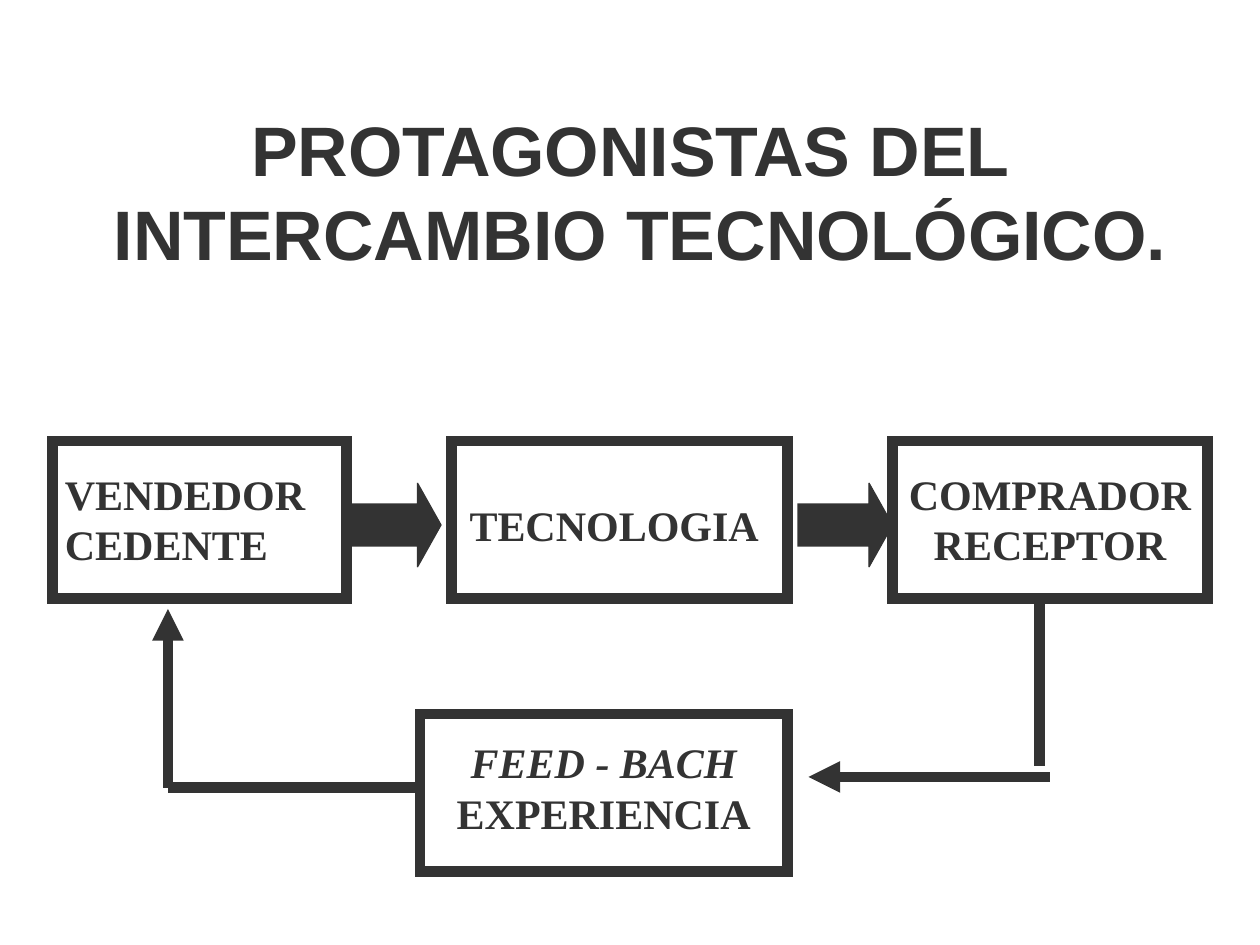
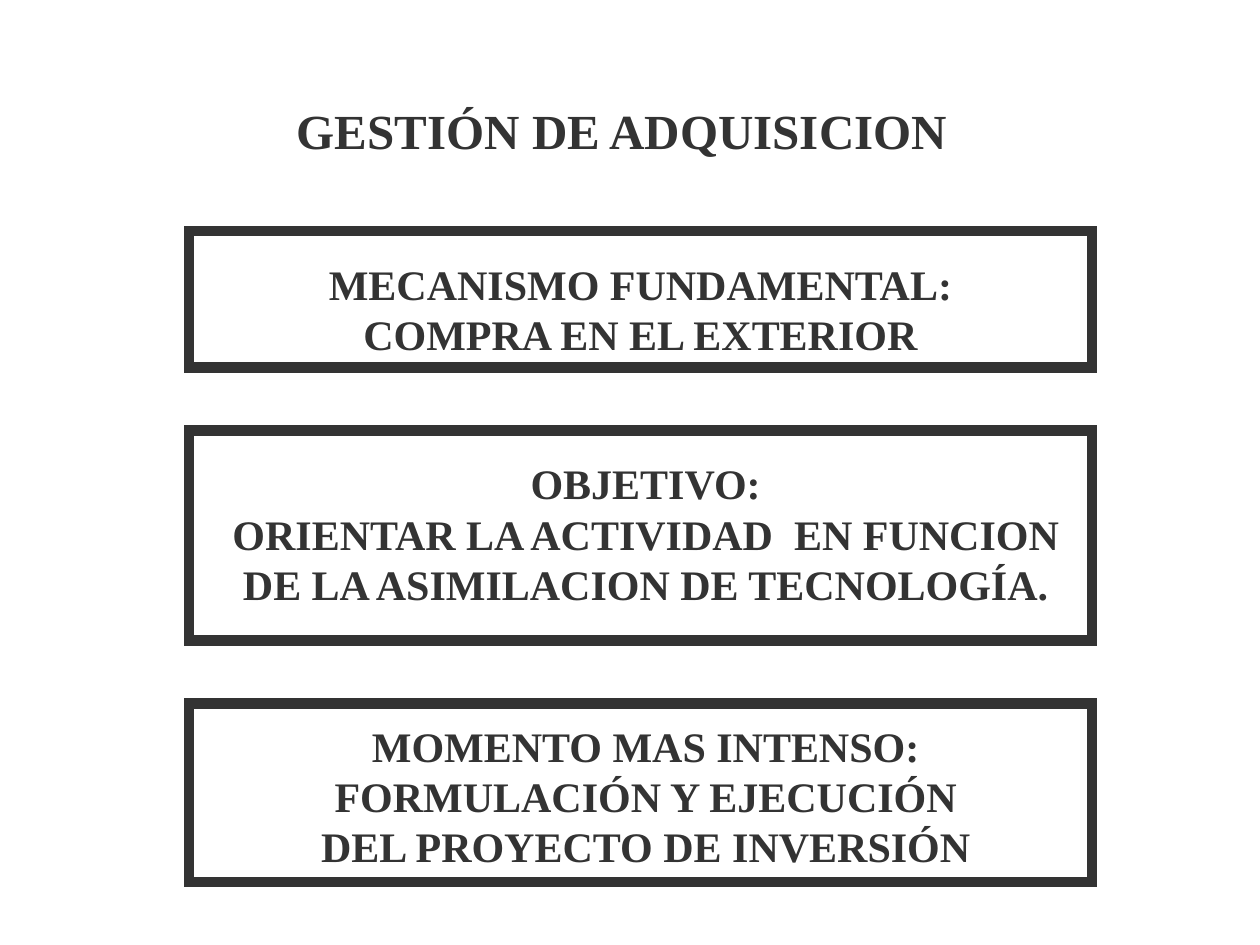
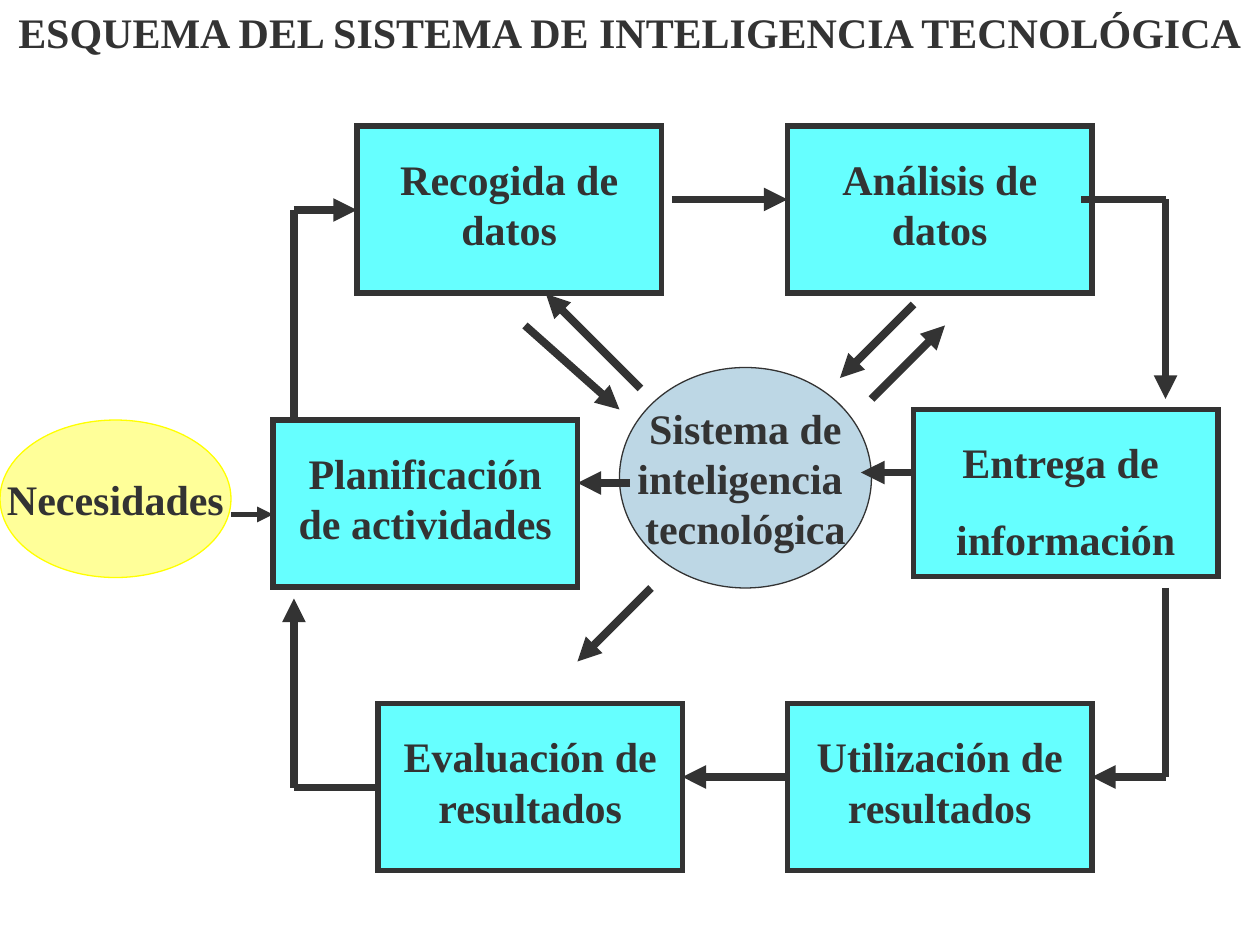
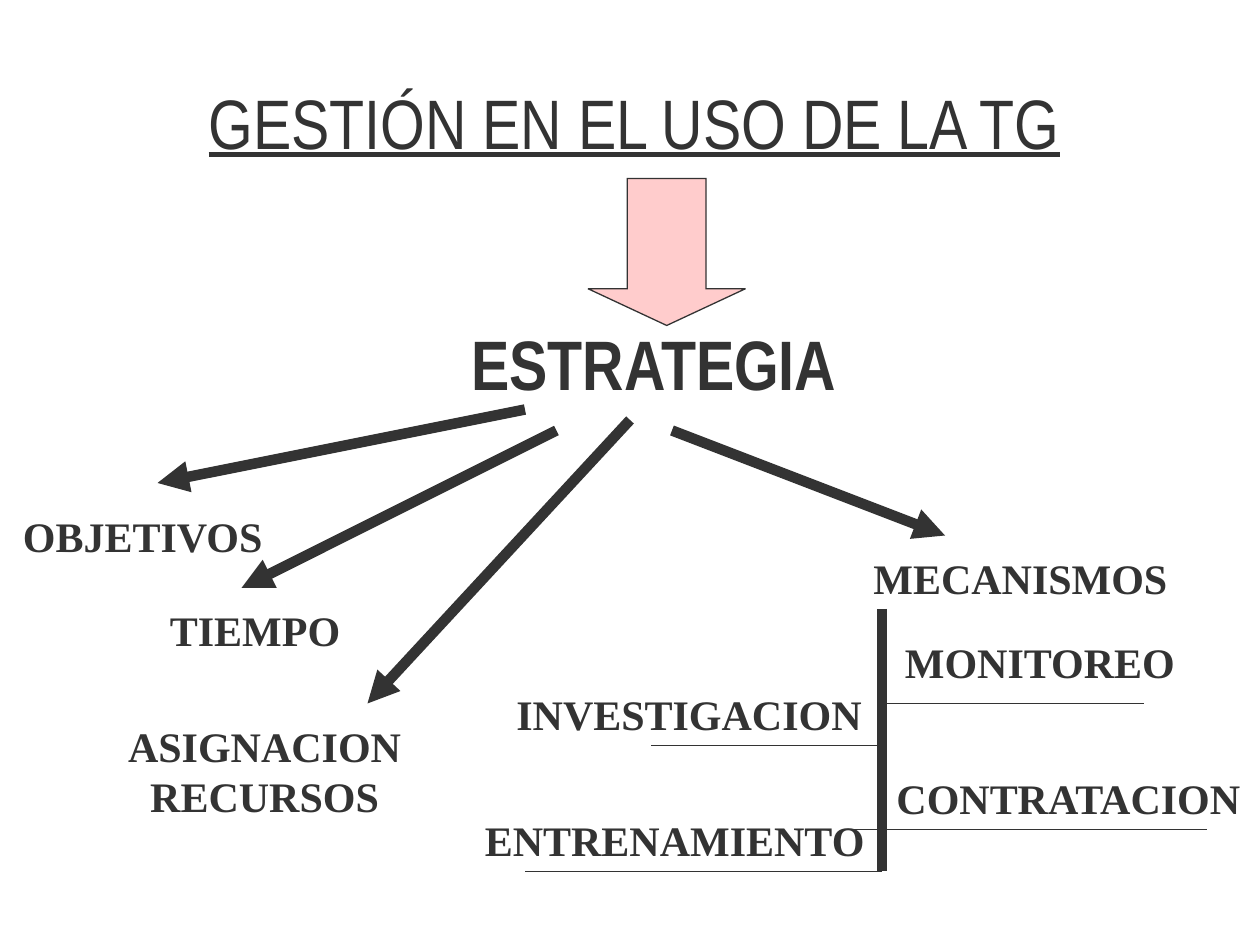
from pptx import Presentation
from pptx.dml.color import RGBColor
from pptx.enum.shapes import MSO_CONNECTOR, MSO_SHAPE
from pptx.enum.text import MSO_ANCHOR, MSO_AUTO_SIZE, PP_ALIGN
from pptx.oxml.ns import qn
from pptx.util import Inches, Pt
from lxml import etree

RECTANGLE, ELLIPSE = MSO_SHAPE.RECTANGLE, MSO_SHAPE.OVAL
RIGHT_ARROW, DOWN_ARROW = MSO_SHAPE.RIGHT_ARROW, MSO_SHAPE.DOWN_ARROW
STRAIGHT = MSO_CONNECTOR.STRAIGHT
LEFT, CENTER = PP_ALIGN.LEFT, PP_ALIGN.CENTER
TOP, MIDDLE = MSO_ANCHOR.TOP, MSO_ANCHOR.MIDDLE
FIT_SHAPE = MSO_AUTO_SIZE.SHAPE_TO_FIT_TEXT

COLORS = {
    "ink": "333333",
    "cyan": "66FFFF",
    "steel": "BDD7E5",
    "pale_yellow": "FFFF99",
    "yellow": "FFFF00",
    "pink": "FFCCCC",
}
SERIF, SANS, NARROW = "Times New Roman", "Arial", "Arial Narrow"
THICK, MEDIUM, THIN, HAIRLINE = 6, 4.5, 3, 0.75

# The slide is a grid of 120 columns by 90 rows
CELL = Inches(10) / 120

presentation = Presentation()
presentation.slide_width = Inches(10)
presentation.slide_height = Inches(7.5)
blank_layout = presentation.slide_layouts[6]


def add_box(slide, place, text="", preset=None, fill=None, line=None, weight=THICK,
            font=SERIF, size=24, bold=True, underline=None, align=CENTER,
            anchor=TOP, wrap=True, grow=False, gap=0):
    """Add a shape, or a text box if no preset is given; place is column, row, width, height."""
    place = [round(value * CELL) for value in place]
    if preset is None:
        shape = slide.shapes.add_textbox(*place)
    else:
        shape = slide.shapes.add_shape(preset, *place)
        shape.shadow.inherit = False
        if fill:
            shape.fill.solid()
            shape.fill.fore_color.rgb = RGBColor.from_string(COLORS[fill])
        else:
            shape.fill.background()
        if line:
            shape.line.color.rgb = RGBColor.from_string(COLORS[line])
            shape.line.width = Pt(weight)
            outline = shape._element.spPr.find(qn("a:ln"))
            etree.SubElement(outline, qn("a:miter"), lim="800000")
        else:
            shape.line.fill.background()
    if not text:
        return shape
    frame = shape.text_frame
    frame.word_wrap = wrap
    frame.vertical_anchor = anchor
    if preset is None or grow:
        frame.auto_size = FIT_SHAPE
    for index, words in enumerate(text.split("\n")):
        paragraph = frame.add_paragraph() if index else frame.paragraphs[0]
        paragraph.alignment = align
        if index and gap:
            paragraph.space_before = Pt(gap)
        run = paragraph.add_run()
        run.text = words
        run.font.name = font
        run.font.size = Pt(size)
        run.font.bold = bold
        run.font.underline = underline
        run.font.color.rgb = RGBColor.from_string(COLORS["ink"])
    return shape


def add_line(slide, ends, weight, arrow=False):
    """Draw a straight line; ends is column and row of its start, then of its end."""
    connector = slide.shapes.add_connector(STRAIGHT, *[round(value * CELL) for value in ends])
    connector.line.color.rgb = RGBColor.from_string(COLORS["ink"])
    connector.line.width = Pt(weight)
    properties = connector._element.spPr
    if arrow:
        etree.SubElement(properties.find(qn("a:ln")), qn("a:tailEnd"), type="triangle")
    etree.SubElement(properties, qn("a:effectLst"))


# Slide 1: the parties to a technology exchange
slide = presentation.slides.add_slide(blank_layout)
add_box(slide, (0, 9.6, 120.1, 17.2), "PROTAGONISTAS DEL\n INTERCAMBIO TECNOLÓGICO.",
        font=SANS, size=40)
for column, row, width in [(5, 42, 28), (40, 68, 35), (43, 42, 32), (85, 42, 30)]:
    add_box(slide, (column, row, width, 15), preset=RECTANGLE, line="ink")
add_box(slide, (5, 44, 26.3, 10.8), "VENDEDOR\nCEDENTE", align=LEFT)
for column in (33, 76):
    arrow = add_box(slide, (column, 46, 9, 8), preset=RIGHT_ARROW,
                    fill="ink", line="ink", weight=HAIRLINE)
    arrow.adjustments[1] = 0.28
add_box(slide, (43, 47, 31, 6), "TECNOLOGIA")
add_box(slide, (85, 44, 30, 10.8), "COMPRADOR\nRECEPTOR")
feedback = add_box(slide, (41, 69.6, 33, 10.8), "FEED - BACH\nEXPERIENCIA")
feedback.text_frame.paragraphs[0].runs[0].font.italic = True
for ends, arrow in [
    ((100, 74, 77, 74), True),
    ((40, 75, 16, 75), False),
    ((16, 75, 16, 58), True),
    ((99, 57, 99, 73), False),
]:
    add_line(slide, ends, THICK, arrow)

# Slide 2: acquisition management
slide = presentation.slides.add_slide(blank_layout)
add_box(slide, (27.1, 9, 64.6, 6.8), "GESTIÓN DE ADQUISICION", size=28, align=LEFT, wrap=False)
for row, height, text_row, text_width, text_height, text in [
    (22, 13, 24, 82, 10.8, "MECANISMO FUNDAMENTAL:\nCOMPRA EN EL EXTERIOR"),
    (41, 20, 43, 83, 15.6,
     "OBJETIVO:\nORIENTAR LA ACTIVIDAD  EN FUNCION DE LA ASIMILACION DE TECNOLOGÍA."),
    (67, 17, 68, 83, 15.6,
     "MOMENTO MAS INTENSO: FORMULACIÓN Y EJECUCIÓN\nDEL PROYECTO DE INVERSIÓN"),
]:
    add_box(slide, (18, row, 86, height), preset=RECTANGLE, line="ink")
    add_box(slide, (20, text_row, text_width, text_height), text)

# Slide 3: the technology intelligence cycle
slide = presentation.slides.add_slide(blank_layout)
add_box(slide, (59, 35, 24, 21), "Sistema de\ninteligencia \ntecnológica", preset=ELLIPSE,
        fill="steel", line="ink", weight=HAIRLINE, anchor=MIDDLE, wrap=False)
add_box(slide, (0, 40, 22, 15), "Necesidades", preset=ELLIPSE,
        fill="pale_yellow", line="yellow", weight=HAIRLINE, anchor=MIDDLE, wrap=False)
add_line(slide, (22, 49, 26, 49), THIN, arrow=True)
for column, row, label_height, text in [
    (75, 67, 10.8, "Utilización de resultados"),
    (75, 12, 10.8, "Análisis de datos"),
    (34, 12, 10.8, "Recogida de datos"),
    (87, 39, 13.3, "Entrega de \ninformación"),
    (26, 40, 10.8, "Planificación de actividades"),
    (36, 67, 10.8, "Evaluación de resultados"),
]:
    add_box(slide, (column, row, 29, 15.9), preset=RECTANGLE,
            fill="cyan", line="ink", weight=THIN)
    add_box(slide, (column + 1, row + 2, 27, label_height), text, preset=RECTANGLE,
            fill="cyan", grow=True, gap=15)
for ends in [
    (111, 56, 111, 74), (28, 40, 28, 20), (103, 19, 111, 19), (36, 75, 28, 75),
]:
    add_line(slide, ends, MEDIUM)
for ends in [
    (111, 74, 104, 74), (64, 19, 75, 19), (87, 29, 80, 36), (83, 38, 90, 31),
    (28, 20, 34, 20), (61, 37, 52, 28), (50, 31, 59, 39), (111, 19, 111, 38),
    (87, 45, 82, 45), (60, 46, 55, 46), (75, 74, 65, 74), (28, 75, 28, 57),
    (62, 56, 55, 63),
]:
    add_line(slide, ends, MEDIUM, arrow=True)
add_box(slide, (0, 0, 120, 6), "ESQUEMA DEL SISTEMA DE INTELIGENCIA TECNOLÓGICA")

# Slide 4: strategy and its mechanisms
slide = presentation.slides.add_slide(blank_layout)
add_box(slide, (18.7, 7, 95.8, 9.2), "GESTIÓN EN EL USO DE LA TG", font=NARROW, size=40,
        bold=False, underline=True, align=LEFT, wrap=False)
arrow = add_box(slide, (56, 17, 15, 14), preset=DOWN_ARROW,
                fill="pink", line="ink", weight=HAIRLINE)
arrow.adjustments[1] = 0.25
add_box(slide, (43.7, 29.9, 42.2, 9.2), "ESTRATEGIA", font=NARROW, size=40,
        align=LEFT, wrap=False)
for ends in [(50, 39, 15, 46), (53, 41, 23, 56), (60, 40, 35, 67), (64, 41, 90, 51)]:
    add_line(slide, ends, THICK, arrow=True)
add_line(slide, (84, 58, 84, 83), THICK)
for start, end, row in [(84, 62, 71), (84, 50, 83), (84, 109, 67), (81, 115, 79)]:
    add_line(slide, (start, row, end, row), HAIRLINE)
for column, row, width, text in [
    (1, 48, 25.3, "OBJETIVOS"),
    (15, 57, 18.6, "TIEMPO"),
    (82, 52, 30.4, "MECANISMOS"),
    (48, 65, 35.3, "INVESTIGACION"),
    (45, 77, 38.6, "ENTRENAMIENTO"),
    (84.2, 73, 35.8, "CONTRATACION"),
    (85, 60, 28.2, "MONITOREO"),
]:
    add_box(slide, (column, row, width, 6), text, align=LEFT, wrap=False)
# Wide enough for the longer word to stay on one line
add_box(slide, (10.7, 68, 29, 10.8), "ASIGNACION\nRECURSOS", wrap=False)

presentation.save("out.pptx")
